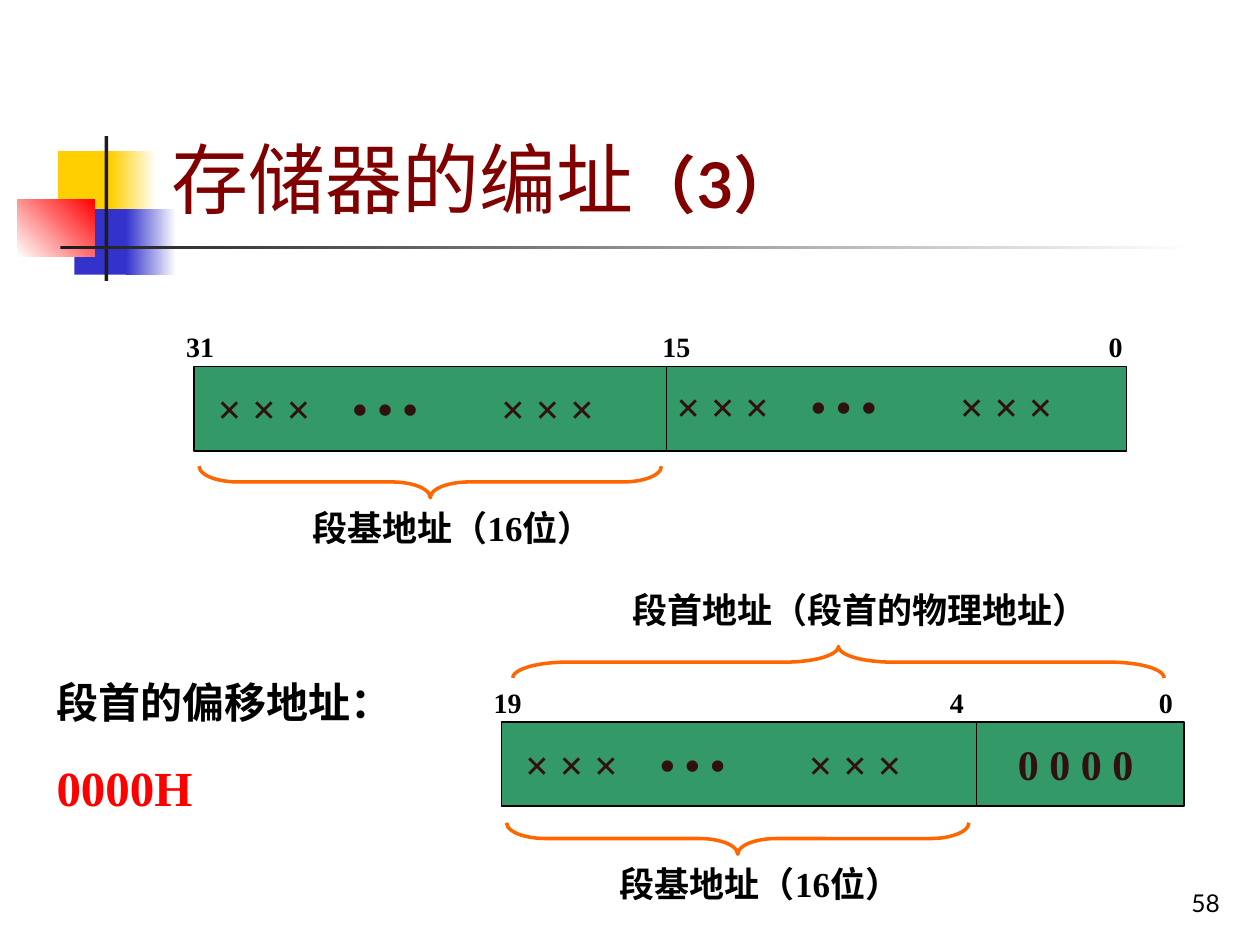
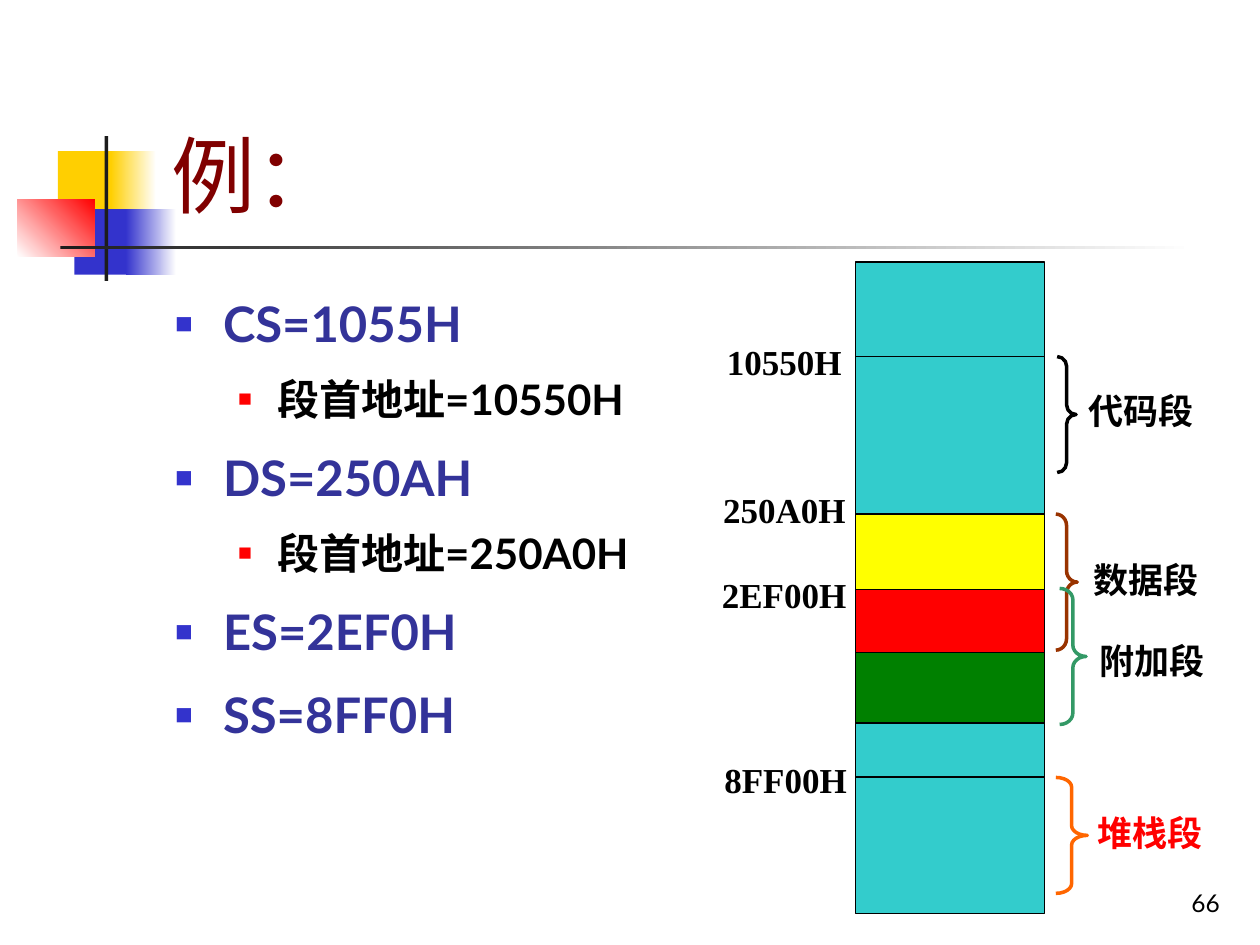
from lxml import etree
from pptx import Presentation
from pptx.dml.color import RGBColor
from pptx.enum.shapes import MSO_SHAPE as Shp
from pptx.enum.text import MSO_ANCHOR as Anchor, MSO_AUTO_SIZE as Fit, PP_ALIGN as Align
from pptx.oxml.ns import qn
from pptx.util import Inches, Pt

BLACK, WHITE, RED, INK = "000000", "FFFFFF", "FF0000", "1C1C1C"
YELLOW, BLUE, MAROON, NAVY = "FFCF01", "3333CC", "800000", "333399"
GREEN, ORANGE, TEAL, BROWN = "339966", "FF6600", "33CCCC", "993300"
BIT_INK = "301010"
SANS, SERIF = "Lato", "Times New Roman"
TITLE_ONLY, TITLE_AND_BODY = 5, 1


def rgb(color):
    return RGBColor.from_string(color)


def inches(*values):
    return [Inches(v) for v in values]


def add_run(p, text, size, color=BLACK, font=SERIF, bold=True):
    r = p.add_run()
    r.text = text
    r.font.size, r.font.name, r.font.bold = Pt(size), font, bold
    r.font.color.rgb = rgb(color)


def add_text(s, box, text, size, align=Align.LEFT, anchor=Anchor.TOP, **fmt):
    tf = s.shapes.add_textbox(*inches(*box)).text_frame
    tf.word_wrap, tf.vertical_anchor = True, anchor
    p = tf.paragraphs[0]
    p.alignment = align
    add_run(p, text, size, **fmt)
    return tf


def add_rect(s, box, fill, line=None, fade_to=None, angle=0):
    sp = s.shapes.add_shape(Shp.RECTANGLE, *inches(*box))
    sp.shadow.inherit = False
    if fade_to:
        sp.fill.gradient()
        sp.fill.gradient_angle = angle
        for stop, color in zip(sp.fill.gradient_stops, (fill, fade_to)):
            stop.color.rgb = rgb(color)
    else:
        sp.fill.solid()
        sp.fill.fore_color.rgb = rgb(fill)
    if line:
        sp.line.color.rgb, sp.line.width = rgb(line), Pt(1)
    else:
        sp.line.fill.background()


def add_brace(s, box, color, rotation=0):
    """Box is the area on the slide; rotation 0 points right, 90 down, 270 up."""
    x, y, w, h = box
    if rotation:
        x, y, w, h = x + (w - h) / 2, y + (h - w) / 2, h, w
    sp = s.shapes.add_shape(Shp.RIGHT_BRACE, *inches(x, y, w, h))
    sp.adjustments[0] = h / 12 / w
    sp.rotation = rotation
    sp.shadow.inherit = False
    sp.fill.background()
    sp.line.color.rgb, sp.line.width = rgb(color), Pt(2)


def add_decoration(s):
    add_rect(s, (0.46, 1.2, 0.48, 0.52), YELLOW)
    add_rect(s, (0.88, 1.2, 0.36, 0.52), YELLOW, fade_to=WHITE)
    add_rect(s, (0.59, 1.66, 0.46, 0.52), BLUE)
    add_rect(s, (1, 1.66, 0.4, 0.52), BLUE, fade_to=WHITE)
    add_rect(s, (0.14, 1.58, 0.61, 0.46), WHITE, fade_to=RED, angle=45)
    add_rect(s, (0.83, 1.08, 0.03, 1.15), INK)
    add_rect(s, (0.48, 1.95, 9, 0.03), INK, fade_to=WHITE)


def place(ph, box, anchor):
    ph.left, ph.top, ph.width, ph.height = inches(*box)
    tf = ph.text_frame
    tf.auto_size, tf.vertical_anchor = Fit.NONE, anchor
    return tf


def start_slide(prs, layout, number, title_box, title_runs):
    """Add a slide with its decoration, number and title of (text, size, bold) runs."""
    s = prs.slides.add_slide(prs.slide_layouts[layout])
    add_decoration(s)
    add_text(s, (7.7, 6.83, 2.08, 0.5), number, 14, font=SANS, bold=False,
             align=Align.RIGHT, anchor=Anchor.BOTTOM)
    p = place(s.shapes.title, title_box, Anchor.BOTTOM).paragraphs[0]
    p.alignment = Align.LEFT
    for text, size, bold in title_runs:
        add_run(p, text, size, MAROON, SANS, bold)
    return s


def add_bit_pattern(s, x, y):
    for dx, marks in ((0, "× × ×"), (1.07, "• • •"), (2.25, "× × ×")):
        add_text(s, (x + dx, y, 1.3, 0.5), marks, 24, color=BIT_INK)


def add_register(s, x, y, widths, bit_labels):
    """Draw adjoining cells with (text, offset) bit numbers above them."""
    for width in widths:
        add_rect(s, (x, y, width, 0.67), GREEN, BLACK)
        x += width
    x -= sum(widths)
    for text, dx in bit_labels:
        add_text(s, (x + dx, y - 0.34, 0.6, 0.37), text, 16)
    add_bit_pattern(s, x + 0.09, y + 0.08)


def add_base_address(s, x, y):
    add_brace(s, (x, y, 3.67, 0.25), ORANGE, 90)
    add_text(s, (x + 0.8, y + 0.27, 2.58, 0.44), "段基地址（16位）", 20)


def build_addressing(prs):
    s = start_slide(prs, TITLE_ONLY, "58", (1.26, 0.68, 6.89, 1.15),
                    [("存储器的编址", 44, False), ("（3）", 36, True)])
    add_register(s, 1.54, 2.91, (3.75, 3.65), [("31", -0.16), ("15", 3.62), ("0", 7.16)])
    add_bit_pattern(s, 5.27, 2.97)
    add_base_address(s, 1.58, 3.7)

    add_text(s, (4.92, 4.62, 4.02, 0.44), "段首地址（段首的物理地址）", 20)
    add_brace(s, (4.07, 5.13, 5.17, 0.25), ORANGE, 270)
    add_register(s, 3.98, 5.73, (3.77, 1.65), [("19", -0.16), ("4", 3.46), ("0", 5.12)])
    add_text(s, (7.98, 5.81, 1.25, 0.5), "0 0 0 0", 24, color=BIT_INK)
    add_base_address(s, 4.02, 6.53)

    tf = add_text(s, (0.35, 5.32, 3.39, 1.21), "段首的偏移地址：", 24)
    p = tf.add_paragraph()
    p.space_before = Pt(17.5)
    add_run(p, "0000H", 28, RED)


def set_bullet(p, color, percent, left, hanging):
    pPr = p._p.get_or_add_pPr()
    pPr.set("marL", str(Inches(left)))
    pPr.set("indent", str(-Inches(hanging)))
    clr = etree.SubElement(pPr, qn("a:buClr"))
    etree.SubElement(clr, qn("a:srgbClr"), val=color)
    etree.SubElement(pPr, qn("a:buSzPct"), val=str(percent * 1000))
    etree.SubElement(pPr, qn("a:buChar"), char="■")


def fill_list(tf, items):
    """Write (level, text) items as a two-level bullet list."""
    for i, (level, text) in enumerate(items):
        p = tf.add_paragraph() if i else tf.paragraphs[0]
        p.level, p.line_spacing = level, 1.15
        p.space_before = Pt((7, 6)[level] if i else 0)
        p.space_after = Pt((1.8, 1.5)[level])
        set_bullet(p, *((BLUE, 60, 0.38, 0.38), (RED, 55, 0.81, 0.31))[level])
        add_run(p, text, (28, 24)[level], (NAVY, BLACK)[level], SANS)


def add_memory_map(s, x, y):
    bands = [(0.75, TEAL), (1.25, TEAL), (0.6, "FFFF00"), (0.5, RED),
             (0.56, "008000"), (0.43, TEAL), (1.08, TEAL)]
    top = y
    for height, color in bands:
        add_rect(s, (x, top, 1.5, height), color, BLACK)
        top += height

    addresses = [("10550H", 0.57, -1.12), ("250A0H", 1.75, -1.15),
                 ("2EF00H", 2.42, -1.16), ("8FF00H", 3.89, -1.14)]
    for text, dy, dx in addresses:
        add_text(s, (x + dx, y + dy, 1.28, 0.44), text, 20)

    # name, text colour, text offset, brace box offset and size, brace colour
    segments = [
        ("代码段", BLACK, (1.75, 0.96), (1.6, 0.75, 0.15, 0.92), BLACK),
        ("数据段", BLACK, (1.79, 2.3), (1.59, 2, 0.17, 1.08), BROWN),
        ("附加段", BLACK, (1.84, 2.95), (1.62, 2.59, 0.21, 1.08), GREEN),
        ("堆栈段", RED, (1.82, 4.31), (1.59, 4.09, 0.25, 0.92), ORANGE),
    ]
    for name, color, (tx, ty), (bx, by, w, h), brace_color in segments:
        add_brace(s, (x + bx, y + by, w, h), brace_color)
        add_text(s, (x + tx, y + ty, 1.14, 0.44), name, 20, color=color)


def build_example(prs):
    s = start_slide(prs, TITLE_AND_BODY, "66", (1.26, 0.23, 8.52, 1.6),
                    [("例：", 48, False)])
    body = place(s.placeholders[1], (1.29, 2.21, 4.1, 4.5), Anchor.TOP)
    fill_list(body, [(0, "CS=1055H"), (1, "段首地址=10550H"),
                     (0, "DS=250AH"), (1, "段首地址=250A0H"),
                     (0, "ES=2EF0H"), (0, "SS=8FF0H")])
    add_memory_map(s, 6.79, 2.08)


def main():
    prs = Presentation()
    prs.slide_width, prs.slide_height = inches(10, 7.5)
    build_addressing(prs)
    build_example(prs)
    prs.save("out.pptx")


if __name__ == "__main__":
    main()
